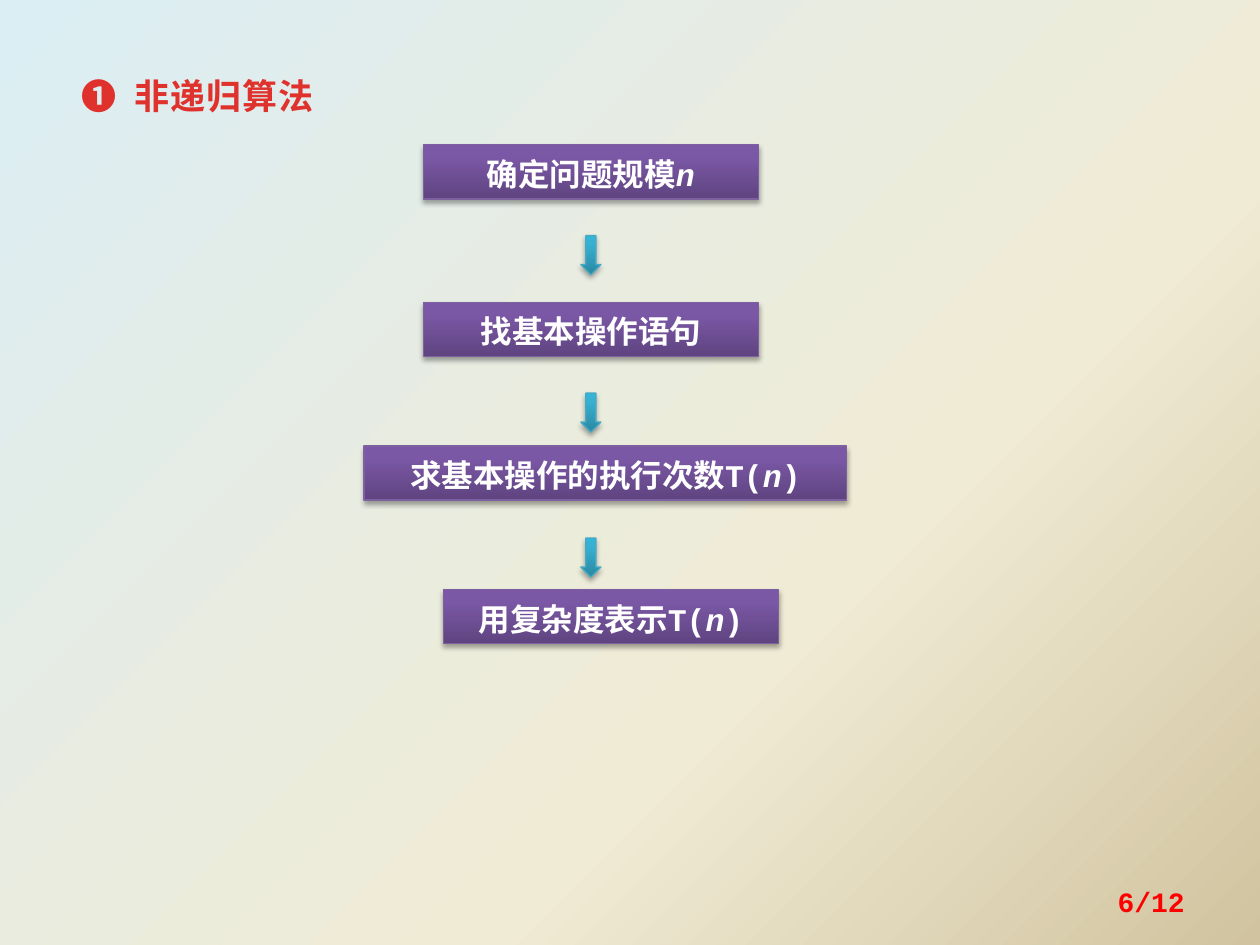
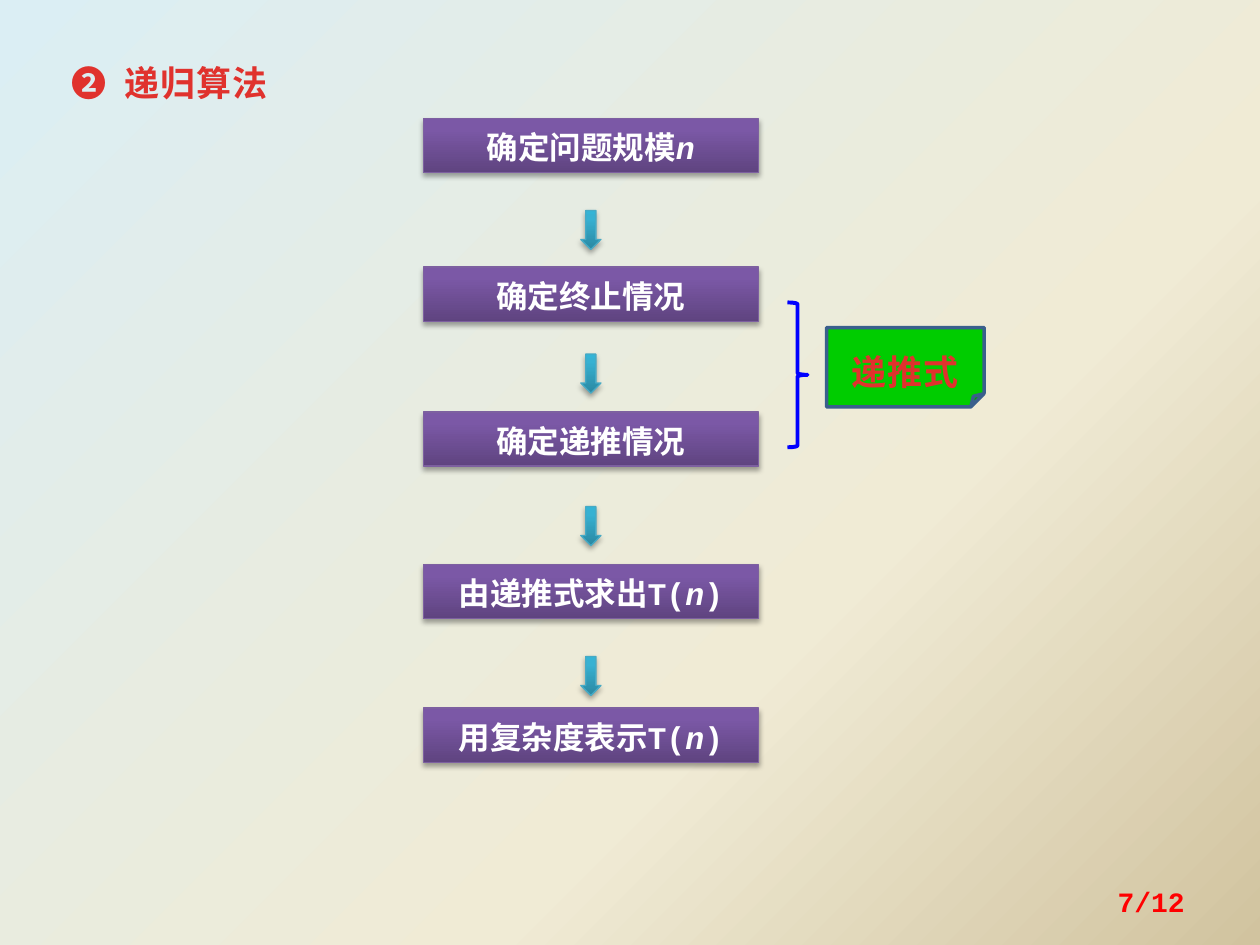
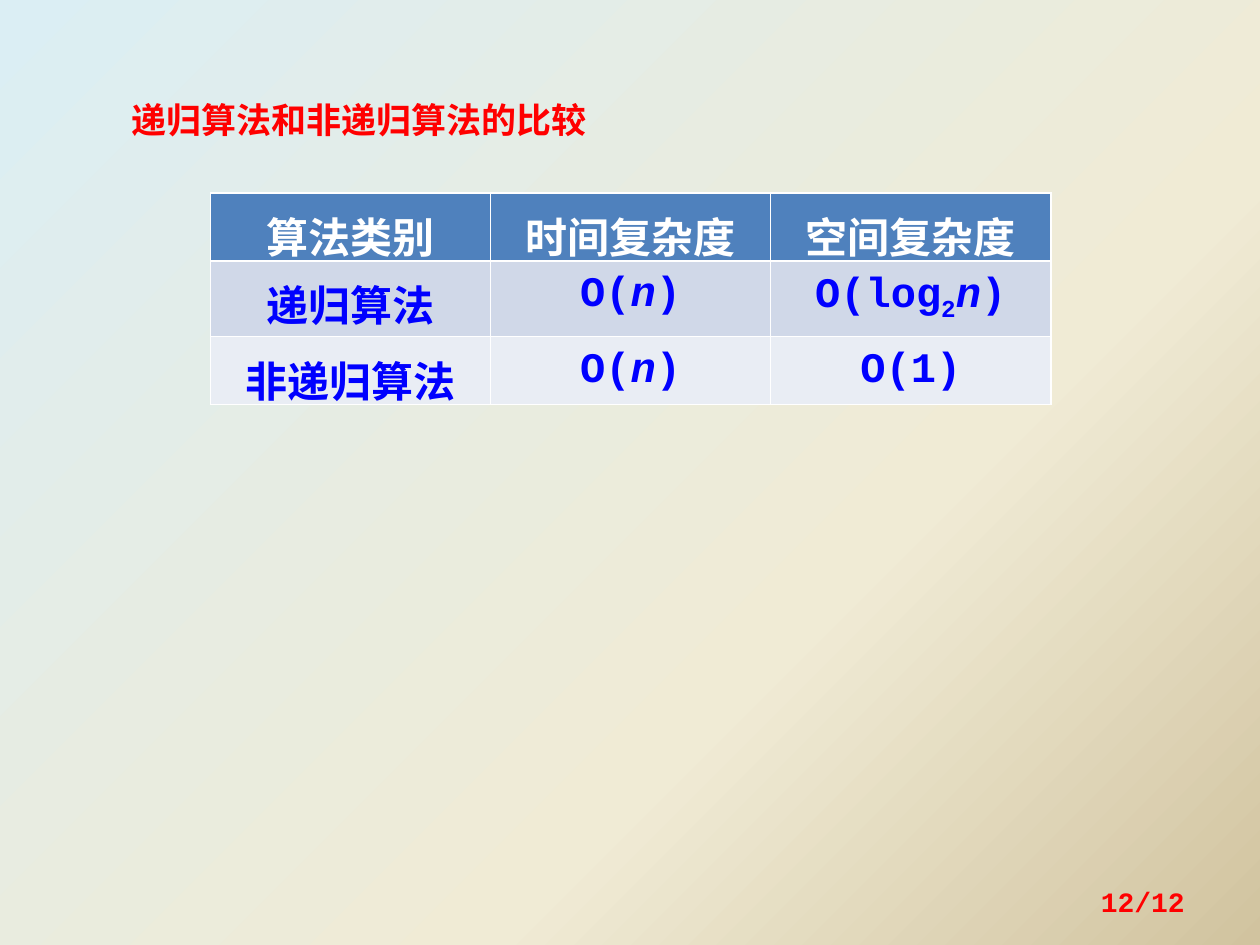
import copy
from pptx import Presentation
from pptx import util as u
from pptx.dml.color import RGBColor
from pptx.enum import shapes, text
from pptx.oxml import parse_xml
from pptx.oxml.ns import nsdecls, qn

INK = {
    "head": "E0322D", "red": "FF0000", "white": "FFFFFF", "blue": "0000FF",
    "green": "00CC00", "navy": "3A5F8C", "box": "7D60A0", "arrow": "46AAC5",
    "top": "4F81BD", "odd": "D0D8E8", "even": "E9EDF4",
}
FADE = {
    "back": [(0, "DBEEF4"), (0.65, "F0EBD5"), (1, "D1C39F")],
    "box": [(0, "5F4480"), (0.8, "7B58A6"), (1, "7C57A8")],
    "arrow": [(0, "2A88A2"), (0.8, "37B1D2"), (1, "34B4D6")],
}
SHADOW = (
    f'<a:effectLst {nsdecls("a")}><a:outerShdw blurRad="{u.Pt(3.1)}" dist="{u.Pt(1.8)}" '
    'dir="5400000" rotWithShape="0"><a:srgbClr val="000000"><a:alpha val="35000"/>'
    '</a:srgbClr></a:outerShdw></a:effectLst>'
)
KIND = shapes.MSO_SHAPE
ALIGN = text.PP_ALIGN


def shade(fill, root, name, angle):
    fill.gradient()
    fill.gradient_angle = angle
    stops = root.find(".//" + qn("a:gsLst"))
    stops.append(copy.deepcopy(stops[0]))
    for stop, (place, tint) in zip(fill.gradient_stops, FADE[name]):
        stop.position = place
        stop.color.rgb = RGBColor.from_string(tint)


def write(frame, words, size=18, ink="white", align=ALIGN.CENTER, lead=1.1,
          font="Courier New", space=0, hang=0):
    para = frame.paragraphs[0]
    para.alignment = align
    para.line_spacing = lead
    para.space_before = u.Pt(0)
    if hang:
        props = para._p.get_or_add_pPr()
        props.set("marL", str(u.Inches(hang)))
        props.set("indent", str(-u.Inches(hang)))
    for bit in words.split("|"):
        run = para.add_run()
        run.text = bit
        run.font.size = u.Pt(size)
        run.font.bold = True
        run.font.italic = bit == "n"
        run.font.name = font
        run.font.color.rgb = RGBColor.from_string(INK[ink])
        props = run.font._element
        if space:
            props.set("spc", str(int(space * 100)))
        if bit == "2":
            props.set("baseline", "-25000")
        props.find(qn("a:latin")).addnext(
            parse_xml(f'<a:ea {nsdecls("a")} typeface="Noto Sans CJK SC"/>'))


deck = Presentation()
deck.slide_width, deck.slide_height = u.Inches(10), u.Inches(7.5)
shade(deck.slide_master.background.fill, deck.slide_master.element, "back", 315)

CHIP = {"size": 20, "ink": "head", "space": 0.5}
HEAD = {**CHIP, "align": ALIGN.LEFT, "hang": 0.42}
PAGES = [
    ("❶\t非递归算法", (0.55, 0.52, 2.89, 0.45), HEAD, "6/12"),
    ("❷\t递归算法", (0.47, 0.41, 2.5, 0.45), HEAD, "7/12"),
    ("递归算法和非递归算法的比较", (0.94, 0.7, 4.06, 0.47),
     {"size": 20, "ink": "red", "align": ALIGN.LEFT, "font": "Noto Sans CJK SC"}, "12/12"),
]
slides = []
for words, at, style, number in PAGES:
    slide = deck.slides.add_slide(deck.slide_layouts[5])
    slides.append(slide)
    title = slide.shapes.title
    title.left, title.top, title.width, title.height = map(u.Inches, at)
    frame = title.text_frame
    frame.word_wrap = True
    frame.auto_size = text.MSO_AUTO_SIZE.NONE
    frame.vertical_anchor = text.MSO_ANCHOR.MIDDLE
    frame.margin_top = frame.margin_bottom = 0
    write(frame, words, **style)
    note = slide.shapes.add_textbox(*map(u.Inches, (7.17, 6.95, 2.33, 0.4)))
    note.text_frame.word_wrap = True
    note.text_frame.vertical_anchor = text.MSO_ANCHOR.MIDDLE
    write(note.text_frame, number, size=16, ink="red", align=ALIGN.RIGHT, lead=1)

FLOWS = [
    ([(3.36, 1.15, 2.66, "确定问题规模|n"),
      (3.36, 2.4, 2.66, "找基本操作语句"),
      (2.89, 3.54, 3.83, "求基本操作的执行次数T(|n|)"),
      (3.52, 4.68, 2.66, "用复杂度表示T(|n|)")],
     [1.87, 3.12, 4.27]),
    ([(3.36, 0.94, 2.66, "确定问题规模|n"),
      (3.36, 2.12, 2.66, "确定终止情况"),
      (3.36, 3.27, 2.66, "确定递推情况"),
      (3.36, 4.48, 2.66, "由递推式求出T(|n|)"),
      (3.36, 5.62, 2.66, "用复杂度表示T(|n|)")],
     [1.67, 2.81, 4.02, 5.21]),
]
for slide, (steps, drops) in zip(slides, FLOWS):
    parts = [(KIND.RECTANGLE, "box", (x, y, w, 0.43), words) for x, y, w, words in steps]
    parts += [(KIND.DOWN_ARROW, "arrow", (4.61, y, 0.16, 0.31), "") for y in drops]
    for kind, name, at, words in parts:
        part = slide.shapes.add_shape(kind, *map(u.Inches, at))
        shade(part.fill, part._element.spPr, name, 90)
        part.line.color.rgb = RGBColor.from_string(INK[name])
        part.line.width = u.Pt(0.75)
        part._element.spPr.append(parse_xml(SHADOW))
        if words:
            frame = part.text_frame
            frame.margin_top = frame.margin_bottom = 0
            write(frame, words)

brace = slides[1].shapes.add_shape(KIND.RIGHT_BRACE, *map(u.Inches, (6.25, 2.4, 0.16, 1.15)))
brace.fill.background()
chip = slides[1].shapes.add_shape(KIND.FOLDED_CORNER, *map(u.Inches, (6.56, 2.6, 1.25, 0.63)))
chip.fill.solid()
chip.fill.fore_color.rgb = RGBColor.from_string(INK["green"])
for part, ink, width in [(brace, "blue", 2.25), (chip, "navy", 2)]:
    part.shadow.inherit = False
    part.line.color.rgb = RGBColor.from_string(INK[ink])
    part.line.width = u.Pt(width)
write(chip.text_frame, "递推式", lead=1.5, font="Noto Sans CJK JP", **CHIP)

ROWS = [
    ("top", "white", ["算法类别", "时间复杂度", "空间复杂度"]),
    ("odd", "blue", ["递归算法", "O(|n|)", "O(log|2|n|)"]),
    ("even", "blue", ["非递归算法", "O(|n|)", "O(1)"]),
]
grid = slides[2].shapes.add_table(3, 3, *map(u.Inches, (1.67, 1.53, 6.67, 1.22))).table
for r, (fill, ink, labels) in enumerate(ROWS):
    for c, words in enumerate(labels):
        cell = grid.cell(r, c)
        cell.fill.solid()
        cell.fill.fore_color.rgb = RGBColor.from_string(INK[fill])
        write(cell.text_frame, words, size=24, ink=ink)

deck.save("out.pptx")
